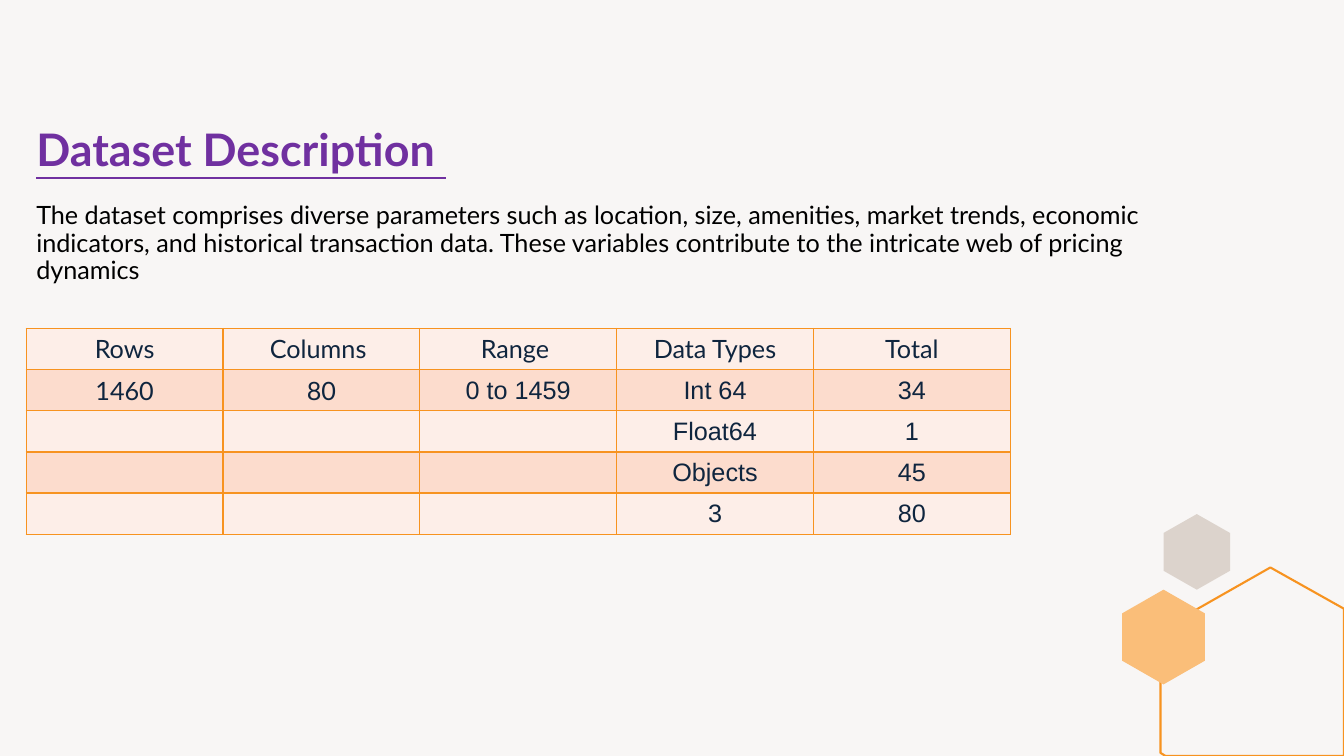
from dataclasses import dataclass

from pptx import Presentation
from pptx.dml.color import RGBColor
from pptx.enum import text as t
from pptx.oxml.ns import qn
from pptx.util import Inches, Pt
from lxml import etree


@dataclass(frozen=True)
class Theme:
    background: str = "F8F6F5"
    heading: str = "7030A0"
    body: str = "000000"
    table_text: str = "0F253E"
    accent: str = "F79320"
    soft_accent: str = "FABE79"
    stone: str = "DCD3CC"
    bands: tuple = ("FDEEE8", "FCDCCD")
    main_font: str = "Lato"
    data_font: str = "Arial"
    heading_size: int = 32
    body_size: int = 18
    line_width: float = 1.5
    border_width: float = 1


def rgb(color):
    return RGBColor.from_string(color)


def hexagon(left, top, width, height):
    """Corners of an upright hexagon, clockwise from its tip."""
    middle, right = left + width / 2, left + width
    upper, lower = top + height / 4, top + height * 3 / 4
    return [(middle, top), (right, upper), (right, lower),
            (middle, top + height), (left, lower), (left, upper)]


class SlideBuilder:
    def __init__(self, slide, theme):
        self.slide = slide
        self.theme = theme
        background = slide.background.fill
        background.solid()
        background.fore_color.rgb = rgb(theme.background)

    def style(self, paragraph, color, size, font=None, bold=False, underline=False):
        for run in paragraph.runs:
            run.font.name = font or self.theme.main_font
            run.font.size = Pt(size)
            run.font.bold = bold
            run.font.underline = underline
            run.font.color.rgb = rgb(color)

    def title(self, heading, description, left, top, width, height):
        theme = self.theme
        title = self.slide.shapes.title
        title.left, title.top = Inches(left), Inches(top)
        title.width, title.height = Inches(width), Inches(height)
        frame = title.text_frame
        frame.word_wrap = True
        frame.auto_size = t.MSO_AUTO_SIZE.NONE
        frame.vertical_anchor = t.MSO_ANCHOR.TOP
        frame.text = f"{heading}\n{description}"
        for paragraph in frame.paragraphs:
            paragraph.alignment = t.PP_ALIGN.LEFT
            paragraph.line_spacing = 0.9
        first, second = frame.paragraphs
        second.space_before = Pt(19)
        self.style(first, theme.heading, theme.heading_size, bold=True, underline=True)
        self.style(second, theme.body, theme.body_size)

    def polygon(self, points, fill=None, line=None):
        corners = [(Inches(x), Inches(y)) for x, y in points]
        builder = self.slide.shapes.build_freeform(*corners[0])
        builder.add_line_segments(corners[1:], close=True)
        shape = builder.convert_to_shape()
        shape.shadow.inherit = False
        if fill:
            shape.fill.solid()
            shape.fill.fore_color.rgb = rgb(fill)
        else:
            shape.fill.background()
        if line:
            shape.line.color.rgb = rgb(line)
            shape.line.width = Pt(self.theme.line_width)
        else:
            shape.line.fill.background()

    def border(self, cell):
        properties = cell._tc.get_or_add_tcPr()
        for side in ("a:lnL", "a:lnR", "a:lnT", "a:lnB"):
            edge = etree.SubElement(properties, qn(side),
                                    w=str(Pt(self.theme.border_width)))
            fill = etree.SubElement(edge, qn("a:solidFill"))
            etree.SubElement(fill, qn("a:srgbClr"), val=self.theme.accent)

    def table(self, rows, main_font_cells, left, top, width, height):
        """Banded grid; main_font_cells are the (row, column) places not in the data font."""
        theme = self.theme
        table = self.slide.shapes.add_table(
            len(rows), len(rows[0]), Inches(left), Inches(top),
            Inches(width), Inches(height)).table
        table.first_row = table.horz_banding = False
        for r, values in enumerate(rows):
            for c, value in enumerate(values):
                cell = table.cell(r, c)
                self.border(cell)
                cell.fill.solid()
                cell.fill.fore_color.rgb = rgb(theme.bands[r % 2])
                cell.vertical_anchor = t.MSO_ANCHOR.MIDDLE
                cell.text = value
                paragraph = cell.text_frame.paragraphs[0]
                paragraph.alignment = t.PP_ALIGN.CENTER
                font = theme.main_font if (r, c) in main_font_cells else theme.data_font
                self.style(paragraph, theme.table_text, theme.body_size, font)


def main():
    deck = Presentation()
    deck.slide_width, deck.slide_height = Inches(13.33), Inches(7.5)
    theme = Theme()
    page = SlideBuilder(deck.slides.add_slide(deck.slide_layouts[5]), theme)

    page.polygon(hexagon(11.54, 5.1, 0.66, 0.75), fill=theme.stone)
    page.polygon([(12.6, 5.63), (13.33, 6.04), (13.33, 7.5), (11.56, 7.5),
                  (11.51, 7.47), (11.51, 6.25)], line=theme.accent)
    page.polygon(hexagon(11.13, 5.85, 0.82, 0.94), fill=theme.soft_accent)

    page.title(
        "Dataset Description ",
        "The dataset comprises diverse parameters such as location, size, amenities, "
        "market trends, economic indicators, and historical transaction data. These "
        "variables contribute to the intricate web of pricing dynamics",
        0.26, 1.22, 11.91, 1.55)

    summary = [
        ("Rows", "Columns ", "Range ", "Data Types", "Total"),
        ("1460", "80", "0 to 1459", "Int 64", "34"),
        ("", "", "", "Float64", "1"),
        ("", "", "", "Objects", "45"),
        ("", "", "", "3", "80"),
    ]
    header_cells = {(0, column) for column in range(len(summary[0]))}
    page.table(summary, header_cells | {(1, 0), (1, 1)}, 0.26, 3.26, 9.76, 2.04)

    deck.save("out.pptx")


if __name__ == "__main__":
    main()
